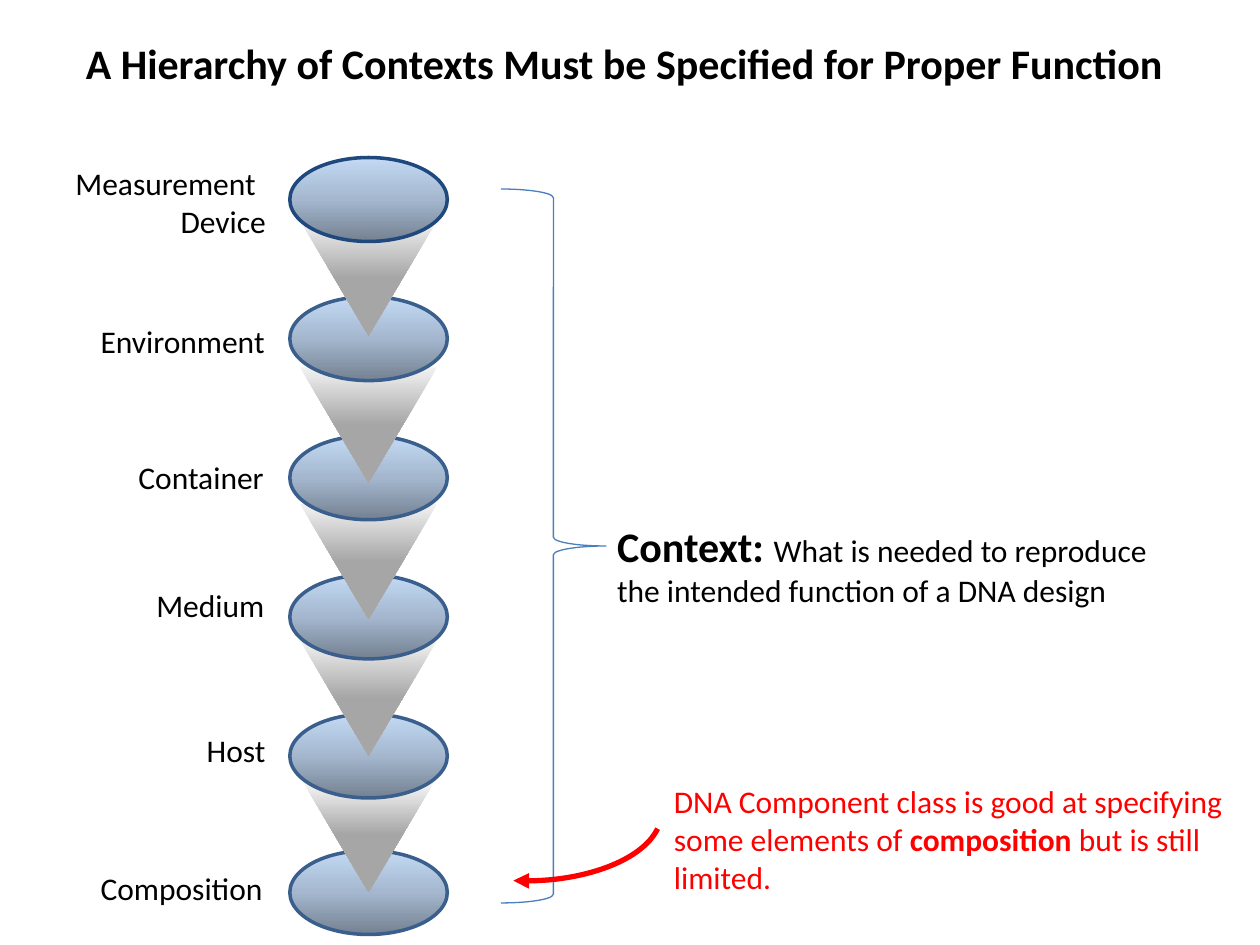
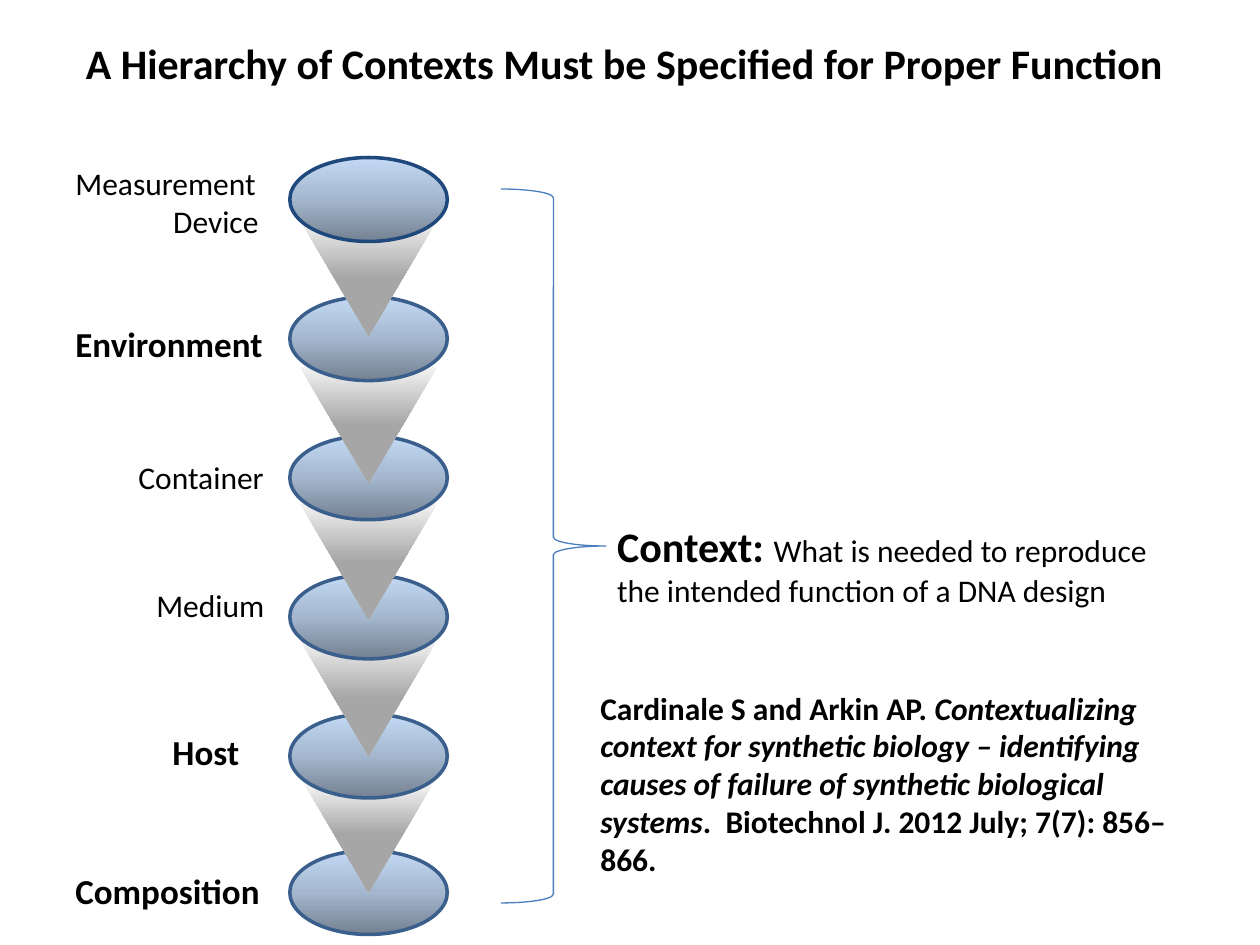
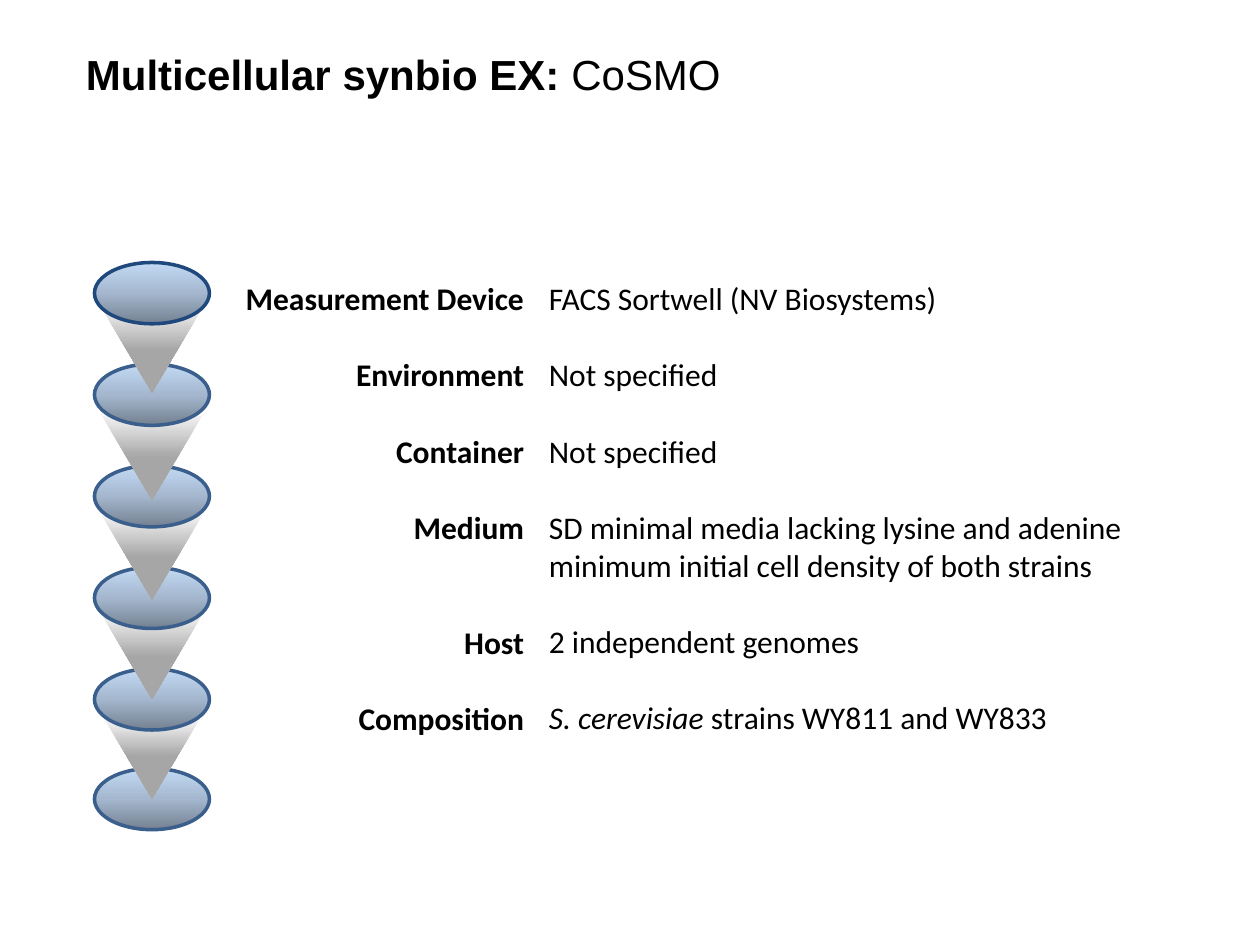
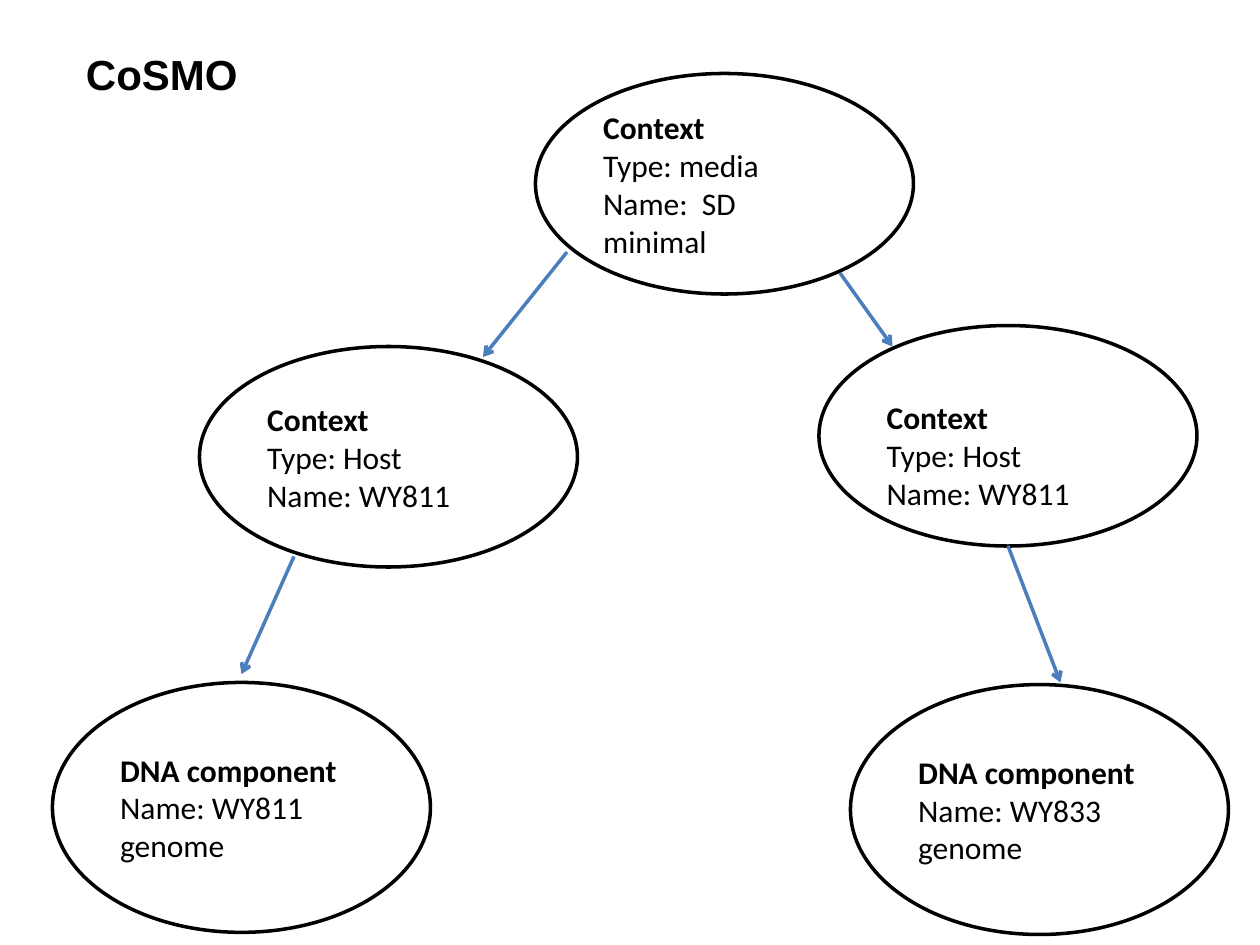
from typing import NamedTuple

from lxml.etree import SubElement
from pptx import Presentation
from pptx.dml.color import RGBColor
from pptx.enum.shapes import MSO_CONNECTOR as Connector, MSO_SHAPE as Preset
from pptx.enum.text import MSO_ANCHOR as Anchor, MSO_AUTO_SIZE as AutoSize, PP_ALIGN as Align
from pptx.oxml.ns import qn
from pptx.util import Inches, Pt

COLUMNS, ROWS = 120, 90
BLACK, WHITE, RED, BLUE, NAVY, STEEL = "000000", "FFFFFF", "FF0000", "4B7EBC", "1F497D", "3A5F8C"
DISC_STOPS = ((0, "748191"), (50, "A4B7CE"), (100, "C3D9F4"))
DISC_ROWS = (0, 13.25, 26.5, 39.75, 53, 66)
CONE_ROWS = (6, 20, 33, 46, 59)
LABEL_ROWS = (30.1, 43, 55.2, 69, 82.2)
LEVELS = ("Environment", "Container", "Medium", "Host", "Composition")
LINE_HEIGHT = 22


class Run(NamedTuple):
    text: str
    bold: bool = False
    italic: bool = False
    size: float = 18


class Paragraph(NamedTuple):
    runs: tuple
    align: Align = Align.LEFT
    before: float = 0


def line_of(*runs, **options):
    return Paragraph(runs, **options)


def color(value):
    return RGBColor.from_string(value)


class Deck:
    def __init__(self):
        self.presentation = Presentation()
        self.presentation.slide_width = Inches(10)
        self.presentation.slide_height = Inches(7.5)
        self.slide = None

    def new_slide(self):
        self.slide = self.presentation.slides.add_slide(self.presentation.slide_layouts[6])
        self.slide.background.fill.solid()
        self.slide.background.fill.fore_color.rgb = color(WHITE)

    def place(self, *lengths):
        units = (self.presentation.slide_width / COLUMNS, self.presentation.slide_height / ROWS)
        return [round(length * units[index % 2]) for index, length in enumerate(lengths)]

    def add_paragraphs(self, frame, paragraphs, font="Calibri", text_color=BLACK):
        for index, content in enumerate(paragraphs):
            paragraph = frame.add_paragraph() if index else frame.paragraphs[0]
            paragraph.alignment = content.align
            paragraph.space_before = Pt(content.before)
            for part in content.runs:
                run = paragraph.add_run()
                run.text = part.text
                run.font.name = font
                run.font.size = Pt(part.size)
                run.font.bold = part.bold
                run.font.italic = part.italic
                run.font.color.rgb = color(text_color)

    def text(self, place, paragraphs, wrap=True, **style):
        frame = self.slide.shapes.add_textbox(*self.place(*place)).text_frame
        frame.word_wrap = wrap
        frame.auto_size = AutoSize.SHAPE_TO_FIT_TEXT
        self.add_paragraphs(frame, paragraphs, **style)

    def shape(self, preset, place, fill=None, line=None, width=2, parent=None):
        shapes = (parent or self.slide).shapes
        shape = shapes.add_shape(preset, *self.place(*place))
        shape.shadow.inherit = False
        if isinstance(fill, tuple):
            self.gradient(shape, fill)
        elif fill:
            shape.fill.solid()
            shape.fill.fore_color.rgb = color(fill)
        else:
            shape.fill.background()
        if line:
            shape.line.color.rgb = color(line)
            shape.line.width = Pt(width)
        else:
            shape.line.fill.background()
        return shape

    def gradient(self, shape, stops):
        shape.fill.gradient()
        shape.fill.gradient_angle = 90
        stop_list = next(shape.element.spPr.iter(qn("a:gsLst")))
        for stop in list(stop_list):
            stop_list.remove(stop)
        for position, value in stops:
            stop = SubElement(stop_list, qn("a:gs"), pos=str(position * 1000))
            SubElement(stop, qn("a:srgbClr"), val=value)

    def arrowhead(self, shape, kind):
        SubElement(shape.element.spPr.find(qn("a:ln")), qn("a:tailEnd"), type=kind)

    def arrow(self, *ends):
        connector = self.slide.shapes.add_connector(Connector.STRAIGHT, *self.place(*ends))
        connector.line.color.rgb = color(BLUE)
        connector.line.width = Pt(2)
        self.arrowhead(connector, "arrow")
        SubElement(connector.element.spPr, qn("a:effectLst"))

    def tower(self, column, row, scale=1):
        group = self.slide.shapes.add_group_shape()
        last = len(CONE_ROWS)
        for level in range(last, -1, -1):
            disc = (column, row + DISC_ROWS[level] * scale, 15 * scale, 8 * scale)
            self.shape(Preset.OVAL, disc, DISC_STOPS, STEEL if level else NAVY, parent=group)
            if level:
                top = row + CONE_ROWS[level - 1] * scale
                stops = ((0, WHITE if level == last else "F2F2F2"), (50, "A6A6A6"))
                cone = self.shape(Preset.ISOSCELES_TRIANGLE,
                                  (column + scale, top, 13 * scale, 11 * scale), stops, parent=group)
                cone.element.spPr.find(qn("a:xfrm")).set("flipV", "1")

    def title(self, *runs):
        self.text((7, 4, 100, 6), [line_of(*runs)], font="Arial")

    def hierarchy(self, device_width, labels):
        self.new_slide()
        self.text((57.6, 49, 55, 9.7), [line_of(
            Run("Context: ", bold=True, size=24),
            Run("What is needed to reproduce the intended function of a DNA design"))])
        self.text((6, 15, device_width, 8.5), [
            line_of(Run("Measurement")), line_of(Run("Device"), align=Align.RIGHT)])
        for level, row, (column, width, bold) in zip(LEVELS, LABEL_ROWS, labels):
            run = Run(level, bold=bold, size=20 if bold else 18)
            self.text((column, row, width, 5.25 if bold else 4.85), [line_of(run)], wrap=False)
        self.tower(27.6, 15)
        self.shape(Preset.RIGHT_BRACE, (47.7, 18, 10, 68), line=BLUE, width=0.75)
        self.text((7, 3, 108.6, 6), [line_of(Run(
            "A Hierarchy of Contexts Must be Specified for Proper Function", bold=True, size=24))],
            wrap=False)

    def node(self, column, row, rows, heading, lines, fill=None, drop=0):
        oval = self.shape(Preset.OVAL, (column, row, 36, rows), fill, BLACK)
        frame = oval.text_frame
        frame.word_wrap = True
        frame.vertical_anchor = Anchor.MIDDLE
        frame.margin_top = Inches(0.05) + Pt(drop)
        self.add_paragraphs(frame, [line_of(Run(heading, bold=True)),
                                    *(line_of(Run(line)) for line in lines)])


def composition_limits(deck):
    deck.hierarchy(20.5, ((8.4, 18.2, False), (12, 14.5, False), (13.7, 12.8, False),
                          (18.5, 8, False), (8.4, 18, False)))
    arc = deck.shape(Preset.ARC, (37, 70.9, 26, 13), line=RED, width=3)
    arc.adjustments[0], arc.adjustments[1] = 4.14, 59.82
    deck.arrowhead(arc, "triangle")
    deck.text((63, 73.9, 57, 12.1), [line_of(
        Run("DNA Component class is good at specifying some elements of "),
        Run("composition", bold=True),
        Run(" but is still limited."))], text_color=RED)


def context_reference(deck):
    deck.hierarchy(19.8, ((6, 20.4, True), (12, 14.5, False), (13.7, 12.8, False),
                          (15.25, 8.9, True), (6, 20.2, True)))
    deck.text((56, 65, 60, 19.4), [line_of(
        Run("Cardinale S and Arkin AP. ", bold=True),
        Run("Contextualizing context for synthetic biology – identifying causes of failure "
            "of synthetic biological systems", bold=True, italic=True),
        Run(".  Biotechnol J. 2012 July; 7(7): 856–866.", bold=True))])


def multicellular_example(deck):
    details = (
        ("Measurement Device", [(Run("FACS Sortwell (NV Biosystems)"),)]),
        ("Environment", [(Run("Not specified"),)]),
        ("Container", [(Run("Not specified"),)]),
        ("Medium", [(Run("SD minimal media lacking lysine and adenine"),),
                    (Run("minimum initial cell density of both strains"),)]),
        ("Host", [(Run("2 independent genomes"),)]),
        ("Composition", [(Run("S. cerevisiae ", italic=True), Run("strains WY811 and WY833"))]),
    )
    names, values, gap = [], [], 0
    for name, lines in details:
        names.append(line_of(Run(name, bold=True), align=Align.RIGHT, before=gap * LINE_HEIGHT))
        for index, runs in enumerate(lines):
            first_gap = LINE_HEIGHT if values and not index else 0
            values.append(line_of(*runs, before=first_gap))
        gap = len(lines)
    deck.new_slide()
    deck.tower(9, 25, scale=0.73)
    deck.text((22, 26, 29.1, 44.9), names, wrap=False)
    deck.text((51.1, 26, 65, 44.9), values)
    deck.title(Run("Multicellular synbio EX: ", bold=True, size=24), Run("CoSMO", size=24))


def context_tree(deck):
    deck.new_slide()
    host = ("Type: Host", "Name: WY811")
    deck.node(19, 33, 21, "Context", host)
    deck.node(51, 7, 21, "Context", ("Type: media", "Name:  SD minimal"))
    deck.node(5, 65, 23.8, "DNA component", ("Name: WY811 genome",), WHITE)
    deck.node(78, 31, 21, "Context", host, drop=LINE_HEIGHT)
    for ends in ((54, 24, 46, 34), (28, 53, 23, 64.2), (80, 26, 85, 33), (96, 52, 101, 65)):
        deck.arrow(*ends)
    deck.title(Run("CoSMO", bold=True, size=24))
    deck.node(81, 65.2, 23.8, "DNA component", ("Name: WY833 genome",), WHITE)


def main():
    deck = Deck()
    for build in (composition_limits, context_reference, multicellular_example, context_tree):
        build(deck)
    deck.presentation.save("out.pptx")


if __name__ == "__main__":
    main()
